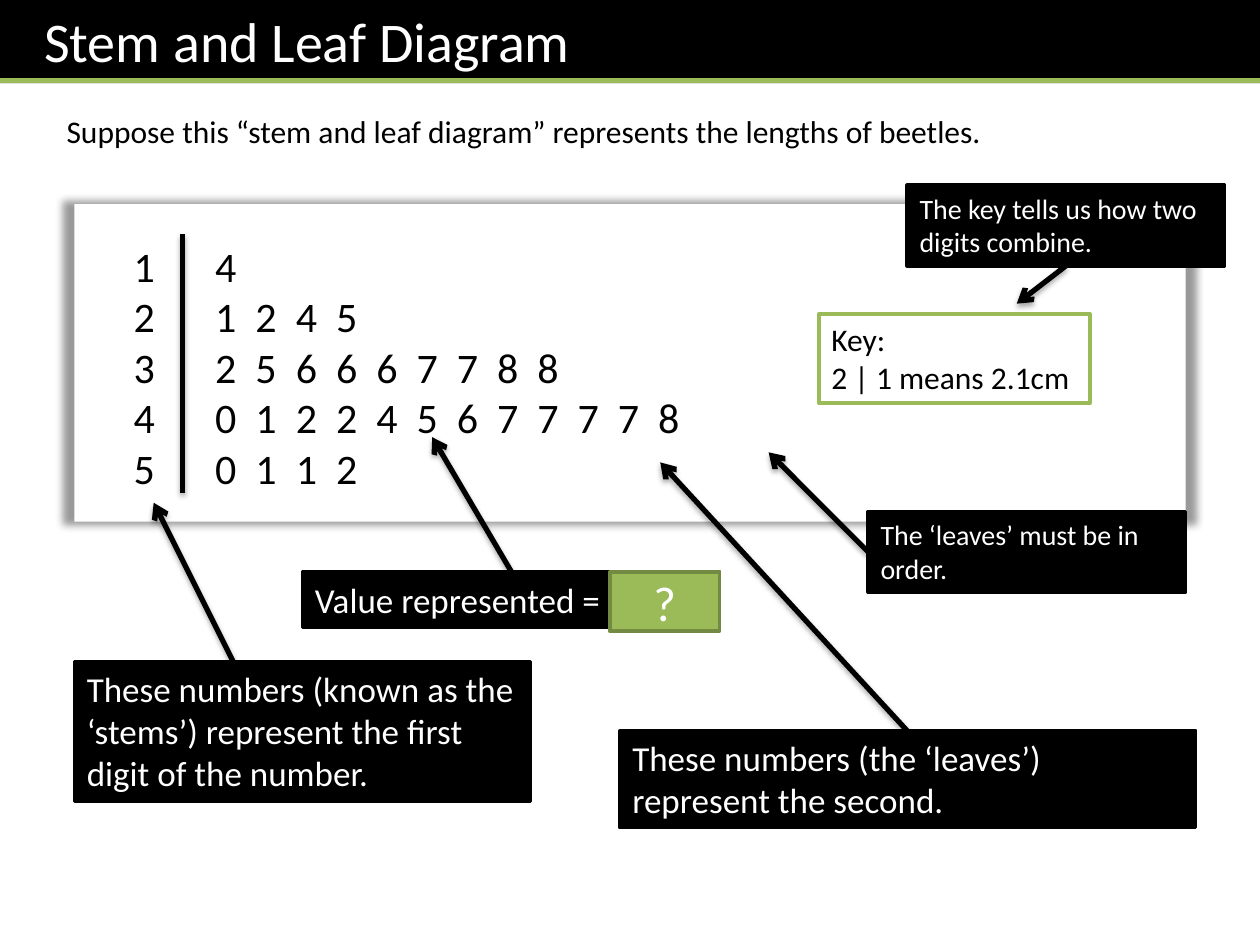
from lxml import etree
from pptx import Presentation
from pptx.dml.color import RGBColor
from pptx.enum.shapes import MSO_CONNECTOR, MSO_SHAPE
from pptx.enum.text import MSO_ANCHOR, MSO_AUTO_SIZE, PP_ALIGN
from pptx.oxml.ns import qn
from pptx.util import Inches, Pt

RECTANGLE = MSO_SHAPE.RECTANGLE
STRAIGHT = MSO_CONNECTOR.STRAIGHT
LEFT, CENTER = PP_ALIGN.LEFT, PP_ALIGN.CENTER
TOP, MIDDLE = MSO_ANCHOR.TOP, MSO_ANCHOR.MIDDLE
GROW, FIXED = MSO_AUTO_SIZE.SHAPE_TO_FIT_TEXT, MSO_AUTO_SIZE.NONE

FONT = "Calibri"
COLORS = {"black": "000000", "white": "FFFFFF", "green": "9BBB59", "dark green": "738A42"}

# Content
TITLE = "Stem and Leaf Diagram"
INTRO = "Suppose this “stem and leaf diagram” represents the lengths of beetles."
KEY = ["Key:", "2 | 1 means 2.1cm"]
STEM_AND_LEAVES = [
    ("1", "4"),
    ("2", "1245"),
    ("3", "256667788"),
    ("4", "012245677778"),
    ("5", "0112"),
]
# Callouts: text, size, box (left, top, width, height), arrow start, arrow end
CALLOUTS = [
    ("These numbers (known as the ‘stems’) represent the first digit of the number.", 20,
     (0.59, 5.25, 3.62, 1.11), (1.85, 5.25), (1.22, 3.99)),
    ("These numbers (the ‘leaves’) represent the second.", 20,
     (4.92, 5.8, 4.57, 0.77), (7.2, 5.8), (5.24, 3.67)),
    ("The key tells us how two digits combine.", 16,
     (7.2, 1.47, 2.52, 0.64), (8.46, 2.11), (8.07, 2.41)),
    ("Value represented =", 20,
     (2.4, 4.54, 3.31, 0.44), (4.06, 4.54), (3.43, 3.47)),
    ("The ‘leaves’ must be in order.", 16,
     (6.89, 4.06, 2.52, 0.64), (6.89, 4.38), (6.1, 3.59)),
]
QUESTION_BOX = (4.84, 4.54, 0.87, 0.47)


def color(name):
    return RGBColor.from_string(COLORS[name])


def write(shape, lines, size, font_color="black", align=LEFT, anchor=TOP, auto_size=GROW):
    frame = shape.text_frame
    frame.word_wrap = True
    frame.auto_size = auto_size
    frame.vertical_anchor = anchor
    for index, line in enumerate(lines):
        paragraph = frame.add_paragraph() if index else frame.paragraphs[0]
        paragraph.alignment = align
        run = paragraph.add_run()
        run.text = line
        run.font.name = FONT
        run.font.size = Pt(size)
        run.font.color.rgb = color(font_color)


def add_box(box, fill, line=None):
    shape = slide.shapes.add_shape(RECTANGLE, *map(Inches, box))
    shape.shadow.inherit = False
    shape.fill.solid()
    shape.fill.fore_color.rgb = color(fill)
    if line:
        shape.line.color.rgb = color(line)
        shape.line.width = Pt(2)
    else:
        shape.line.fill.background()
    return shape


def add_text(box, lines, size, align=LEFT):
    write(slide.shapes.add_textbox(*map(Inches, box)), lines, size, align=align)


def add_shadow(shape, opacity, blur, distance=0, direction=0, scale=100, align="b"):
    properties = shape._element.spPr
    effects = properties.find(qn("a:effectLst"))
    if effects is None:
        effects = etree.SubElement(properties, qn("a:effectLst"))
    shadow = etree.SubElement(
        effects, qn("a:outerShdw"), blurRad=str(Pt(blur)), dist=str(Pt(distance)),
        dir=str(direction * 60000), sx=str(scale * 1000), sy=str(scale * 1000),
        algn=align, rotWithShape="0")
    shade = etree.SubElement(shadow, qn("a:srgbClr"), val=COLORS["black"])
    etree.SubElement(shade, qn("a:alpha"), val=str(opacity * 1000))


def add_line(start, end, line_color="black", arrow=False, shadow=True):
    connector = slide.shapes.add_connector(STRAIGHT, *map(Inches, start + end))
    connector.line.color.rgb = color(line_color)
    connector.line.width = Pt(3)
    if arrow:
        etree.SubElement(connector.line._get_or_add_ln(), qn("a:tailEnd"), type="arrow")
    if shadow:
        add_shadow(connector, 35, 3.1, 1.8, 90)
    else:
        etree.SubElement(connector._element.spPr, qn("a:effectLst"))


presentation = Presentation()
presentation.slide_width, presentation.slide_height = Inches(10), Inches(7.5)
slide = presentation.slides.add_slide(presentation.slide_layouts[5])

# Title bar
title = slide.shapes.title
title.left, title.top, title.width, title.height = map(Inches, (0, 0, 10, 0.66))
title.fill.solid()
title.fill.fore_color.rgb = color("black")
title.text_frame.margin_left = Inches(0.35)
write(title, [TITLE], 32, "white", auto_size=FIXED)
add_line((0, 0.64), (10, 0.64), "green", shadow=False)
add_text((0.43, 0.84, 8.82, 0.4), [INTRO], 18)

# Stem and leaf diagram with its key
panel = add_box((0.59, 1.62, 8.82, 2.52), "white")
add_shadow(panel, 40, 5, scale=102, align="ctr")
add_line((1.45, 1.86), (1.45, 3.91))
add_text((0.83, 1.86, 0.63, 2.12), [stem for stem, _ in STEM_AND_LEAVES], 24, CENTER)
add_text((1.61, 1.86, 4.65, 2.12), ["  ".join(leaves) for _, leaves in STEM_AND_LEAVES], 24)
write(add_box((6.5, 2.49, 2.15, 0.71), "white", "green"), KEY, 18)

# Callouts with arrows
for text, size, box, start, end in CALLOUTS:
    write(add_box(box, "black", "black"), [text], size, "white")
    add_line(start, end, arrow=True)

# Question mark box
question_box = add_box(QUESTION_BOX, "green", "dark green")
write(question_box, ["?"], 28, "white", CENTER, MIDDLE, FIXED)

presentation.save("out.pptx")
